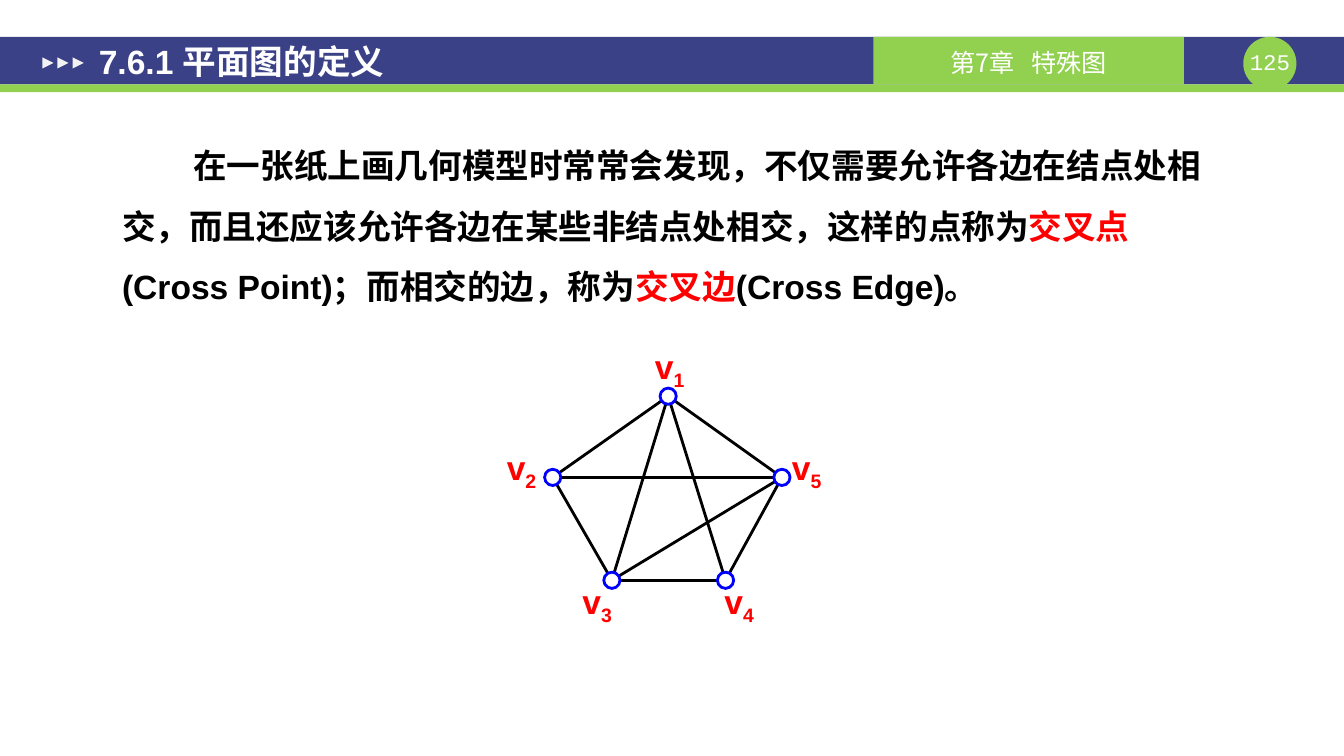
from lxml.etree import SubElement
from pptx import Presentation
from pptx.dml.color import RGBColor
from pptx.enum.shapes import MSO_CONNECTOR as Connector, MSO_SHAPE as Shape
from pptx.enum.text import MSO_ANCHOR as Anchor, PP_ALIGN as Align
from pptx.oxml.ns import qn
from pptx.util import Pt

NAVY, GREEN, PALE = "3A4187", "92D050", "F2F2F2"
WHITE, BLACK, RED, BLUE = "FFFFFF", "000000", "FF0000", "0000FF"
CJK = "Noto Sans CJK SC"


def color(value):
    return RGBColor.from_string(value)


class SlideBuilder:
    def __init__(self, slide, font="Arial", size=24, line_width=2):
        self.slide = slide
        self.font = font
        self.size = size
        self.line_width = line_width

    def shape(self, kind, left, top, width, height, fill, outline=None, rotation=0):
        shape = self.slide.shapes.add_shape(kind, Pt(left), Pt(top), Pt(width), Pt(height))
        shape.shadow.inherit = False
        shape.rotation = rotation
        shape.fill.solid()
        shape.fill.fore_color.rgb = color(fill)
        if outline:
            shape.line.color.rgb = color(outline)
            shape.line.width = Pt(self.line_width)
        else:
            shape.line.fill.background()
        return shape

    def line(self, start, end):
        line = self.slide.shapes.add_connector(
            Connector.STRAIGHT, *(Pt(value) for value in start + end))
        SubElement(line._element.spPr, qn("a:effectLst"))
        line.line.color.rgb = color(BLACK)
        line.line.width = Pt(self.line_width)

    def text_box(self, left, top, width, height, runs, **style):
        box = self.slide.shapes.add_textbox(Pt(left), Pt(top), Pt(width), Pt(height))
        return self.fill_text(box, runs, **style)

    def fill_text(self, shape, runs, margins=(0, 0, 0, 0), anchor=Anchor.TOP,
                  align=Align.LEFT, font=None, size=None, bold=True):
        frame = shape.text_frame
        frame.word_wrap = True
        frame.vertical_anchor = anchor
        frame.margin_left, frame.margin_top, frame.margin_right, frame.margin_bottom = map(Pt, margins)
        paragraph = frame.paragraphs[0]
        paragraph.alignment = align
        for text, fill, attributes in runs:
            run = paragraph.add_run()
            run.text = text
            run.font.size = Pt(size or self.size)
            run.font.bold = bold
            run.font.color.rgb = color(fill)
            run.font.name = font or self.font
            properties = run._r.get_or_add_rPr()
            SubElement(properties, qn("a:ea"), typeface=CJK)
            for name, value in attributes.items():
                properties.set(name, value)
        return paragraph


def add_header(builder):
    builder.shape(Shape.RECTANGLE, 0, 26.3, 960.5, 34, NAVY)
    builder.shape(Shape.RECTANGLE, 0, 60.2, 960.5, 5.6, GREEN)
    builder.shape(Shape.OVAL, 888.5, 26.3, 38, 38, GREEN)
    builder.text_box(888.5, 34.6, 38, 19.4, [("125", WHITE, {})],
                     align=Align.CENTER, font="Courier New", size=16, bold=False)
    chapter = builder.shape(Shape.RECTANGLE, 624.2, 26.3, 222, 34, GREEN)
    builder.fill_text(chapter, [("第7章", WHITE, {}), (" ", WHITE, {"spc": "800"}), ("特殊图", WHITE, {})],
                      margins=(7.2, 2.9, 7.2, 0), anchor=Anchor.MIDDLE,
                      align=Align.CENTER, font=CJK, size=18, bold=False)
    for index in range(3):
        builder.shape(Shape.ISOSCELES_TRIANGLE, 30.2 + 10.8 * index, 41, 8, 8, PALE, rotation=90)
    builder.text_box(61.2, 26.3, 420, 34, [("7.6.1 平面图的定义", WHITE, {})],
                     margins=(9.4, 5, 9.4, 5), anchor=Anchor.MIDDLE)


def add_definition(builder):
    paragraph = builder.text_box(77.8, 84.2, 792.7, 221.8, [
        ("在一张纸上画几何模型时常常会发现，不仅需要允许各边在结点处相交，"
         "而且还应该允许各边在某些非结点处相交，这样的点称为", BLACK, {}),
        ("交叉点", RED, {}),
        ("(Cross Point)；而相交的边，称为", BLACK, {}),
        ("交叉边", RED, {}),
        ("(Cross Edge)。", BLACK, {}),
    ], margins=(9.4, 5, 9.4, 5))
    paragraph.line_spacing = 1.5
    paragraph._p.get_or_add_pPr().set("indent", str(Pt(51)))


def add_graph(builder):
    nodes = {1: (477.5, 283), 2: (395, 341), 3: (437.3, 414.5), 4: (518.5, 414.5), 5: (558.8, 341)}
    labels = {1: (468, 247), 2: (362.2, 319), 3: (416.2, 414.7), 4: (517.7, 414.7), 5: (566, 319)}
    edges = [(2, 5), (1, 3), (1, 4), (5, 3), (1, 2), (5, 4), (3, 4), (1, 5), (2, 3)]
    diameter = 11.6
    for start, end in edges:
        builder.line(nodes[start], nodes[end])
    for number, (left, top) in labels.items():
        builder.text_box(left, top, 33, 28.8,
                         [("v", RED, {}), (str(number), RED, {"baseline": "-25000"})])
    for x, y in nodes.values():
        builder.shape(Shape.OVAL, x - diameter / 2, y - diameter / 2, diameter, diameter, WHITE, BLUE)


def main():
    presentation = Presentation()
    presentation.slide_width = Pt(960.5)
    presentation.slide_height = Pt(540)
    slide = presentation.slides.add_slide(presentation.slide_layouts[6])
    builder = SlideBuilder(slide)
    add_header(builder)
    add_definition(builder)
    add_graph(builder)
    presentation.save("out.pptx")


if __name__ == "__main__":
    main()
